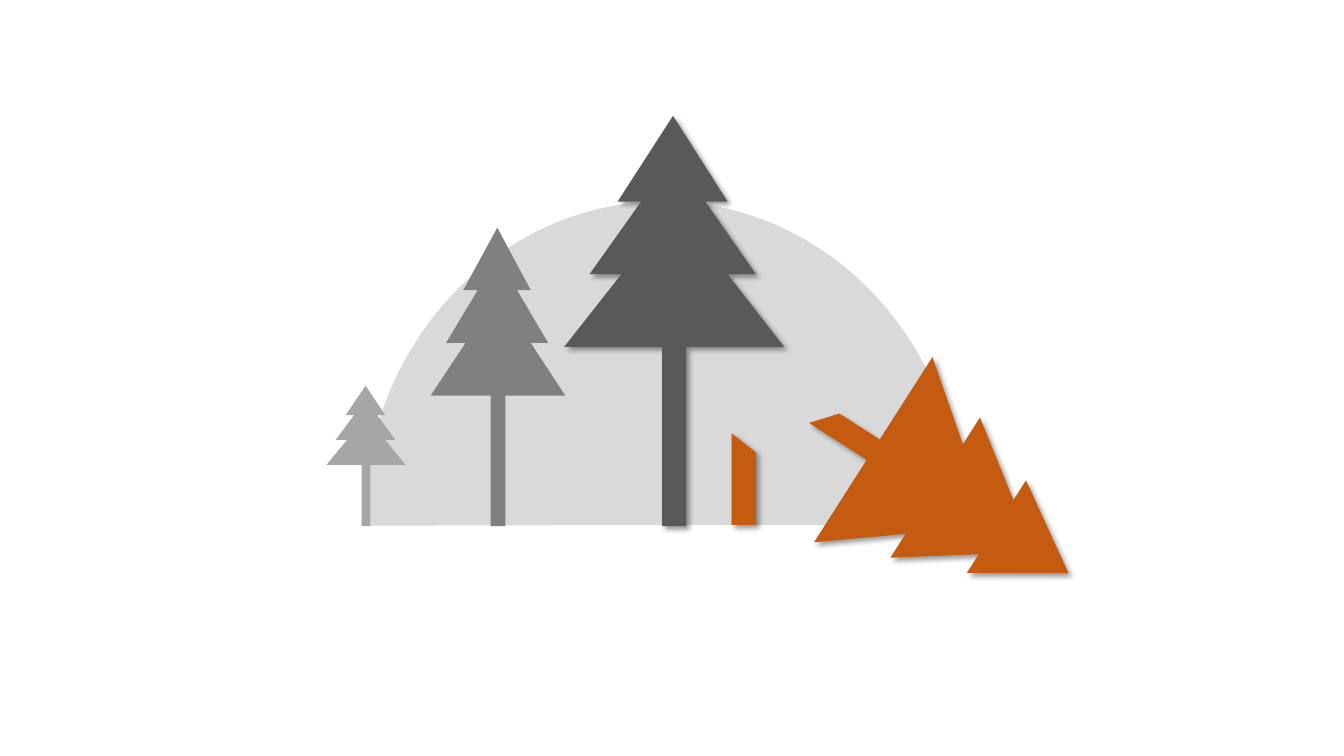
from lxml.etree import SubElement
from pptx import Presentation
from pptx.dml.color import RGBColor
from pptx.enum.shapes import MSO_SHAPE
from pptx.oxml.ns import qn
from pptx.util import Cm, Pt

COLORS = {
    "hill": "D9D9D9",
    "near": "595959",
    "middle": "808080",
    "far": "A6A6A6",
    "felled": "C55A11",
    "shadow": "000000",
}
CROWN = [
    (0.495, 0), (0.743, 0.209), (0.642, 0.209), (0.872, 0.386),
    (0.743, 0.386), (1, 0.563), (0.555, 0.563),
]
CROWN_LEFT = [
    (0.445, 0.563), (0, 0.563), (0.26, 0.386), (0.115, 0.386),
    (0.35, 0.209), (0.243, 0.209),
]
STUMP = [(0, 0), (1, 0.21), (1, 1), (0, 1)]


def paint(shape, color):
    """Give the shape a plain fill without line or shadow."""
    shape.fill.solid()
    shape.fill.fore_color.rgb = RGBColor.from_string(COLORS[color])
    shape.line.fill.background()
    shape.shadow.inherit = False


def add_shadow(shape):
    """Cast a soft shadow to the lower right."""
    effects = shape.element.spPr.find(qn("a:effectLst"))
    shadow = SubElement(
        effects, qn("a:outerShdw"), blurRad=str(Pt(4)), dist=str(Pt(3)),
        dir=str(45 * 60000), algn="tl", rotWithShape="0",
    )
    tint = SubElement(shadow, qn("a:srgbClr"), val=COLORS["shadow"])
    SubElement(tint, qn("a:alpha"), val="40000")


def add_outline(slide, box, fractions, color):
    """Draw a closed outline from points given as fractions of the box."""
    left, top, width, height = box
    points = [(Cm(left + x * width), Cm(top + y * height)) for x, y in fractions]
    builder = slide.shapes.build_freeform(*points[0])
    builder.add_line_segments(points[1:], close=True)
    shape = builder.convert_to_shape()
    paint(shape, color)
    return shape


def add_tree(slide, box, color, trunk_right=1, trunk_left=1):
    """Draw a fir in the box, its trunk ending at the given heights."""
    trunk = [(0.555, trunk_right), (0.445, trunk_left)]
    return add_outline(slide, box, CROWN + trunk + CROWN_LEFT, color)


def add_hill(slide, box):
    """Draw the half disc behind the trees."""
    hill = slide.shapes.add_shape(MSO_SHAPE.PIE, *map(Cm, box))
    hill.adjustments[0] = 53.92
    hill.adjustments[1] = 162
    hill.rotation = 90
    paint(hill, "hill")


def add_felled_tree(slide, tree_box, stump_box):
    """Draw the toppled fir and the stump it was cut from."""
    tree = add_tree(slide, tree_box, "felled", trunk_right=0.73, trunk_left=0.68)
    tree.rotation = 122.6
    add_shadow(tree)
    add_shadow(add_outline(slide, stump_box, STUMP, "felled"))


def add_forest_slide(presentation):
    """Compose the hill, the three standing firs and the felled one."""
    slide = presentation.slides.add_slide(presentation.slide_layouts[6])
    add_hill(slide, (8.56, 5.66, 16.31, 15.14))
    add_shadow(add_tree(slide, (14.22, 2.92, 5.54, 10.34), "near"))
    add_tree(slide, (10.85, 5.74, 3.4, 7.52), "middle")
    add_tree(slide, (8.23, 9.72, 1.99, 3.54), "far")
    add_felled_tree(slide, (20.96, 8.66, 5.54, 10.34), (18.44, 10.92, 0.61, 2.31))


def main():
    """Build and save the presentation."""
    presentation = Presentation()
    presentation.slide_width = Cm(33.87)
    presentation.slide_height = Cm(19.05)
    add_forest_slide(presentation)
    presentation.save("out.pptx")


if __name__ == "__main__":
    main()
